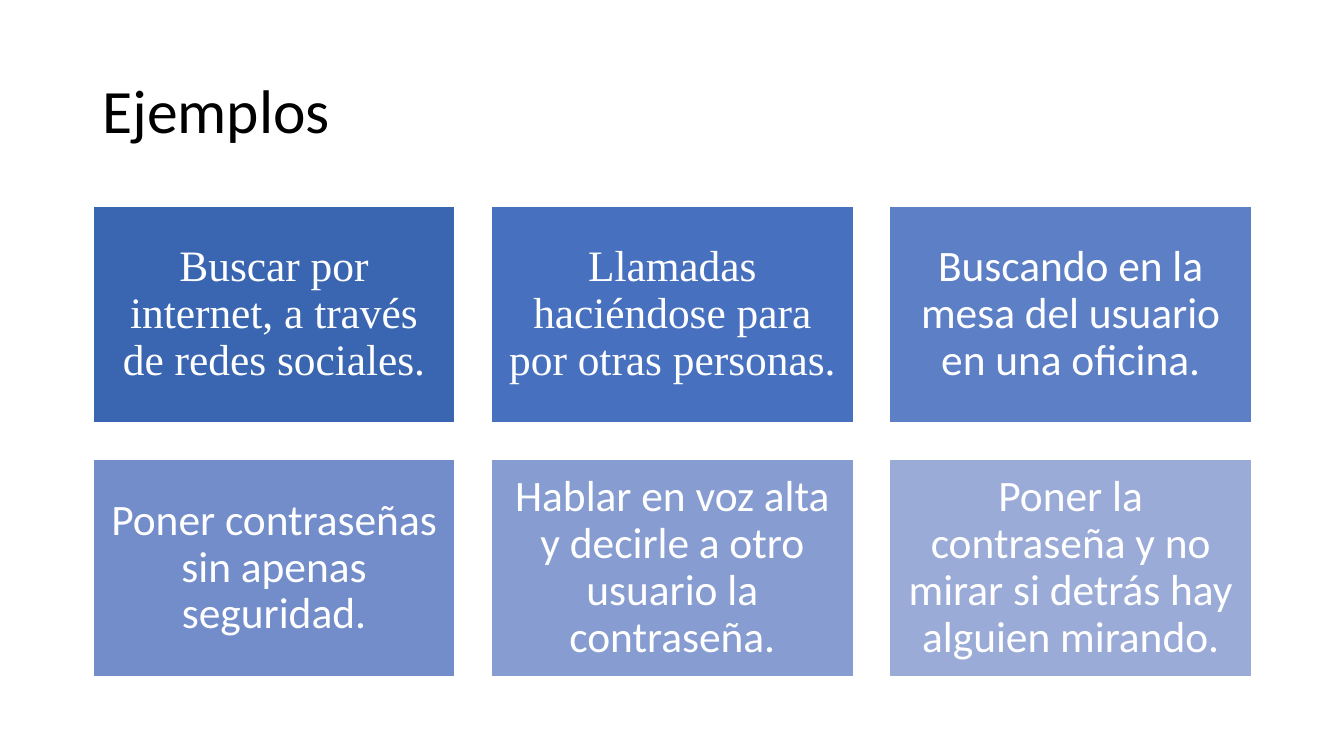
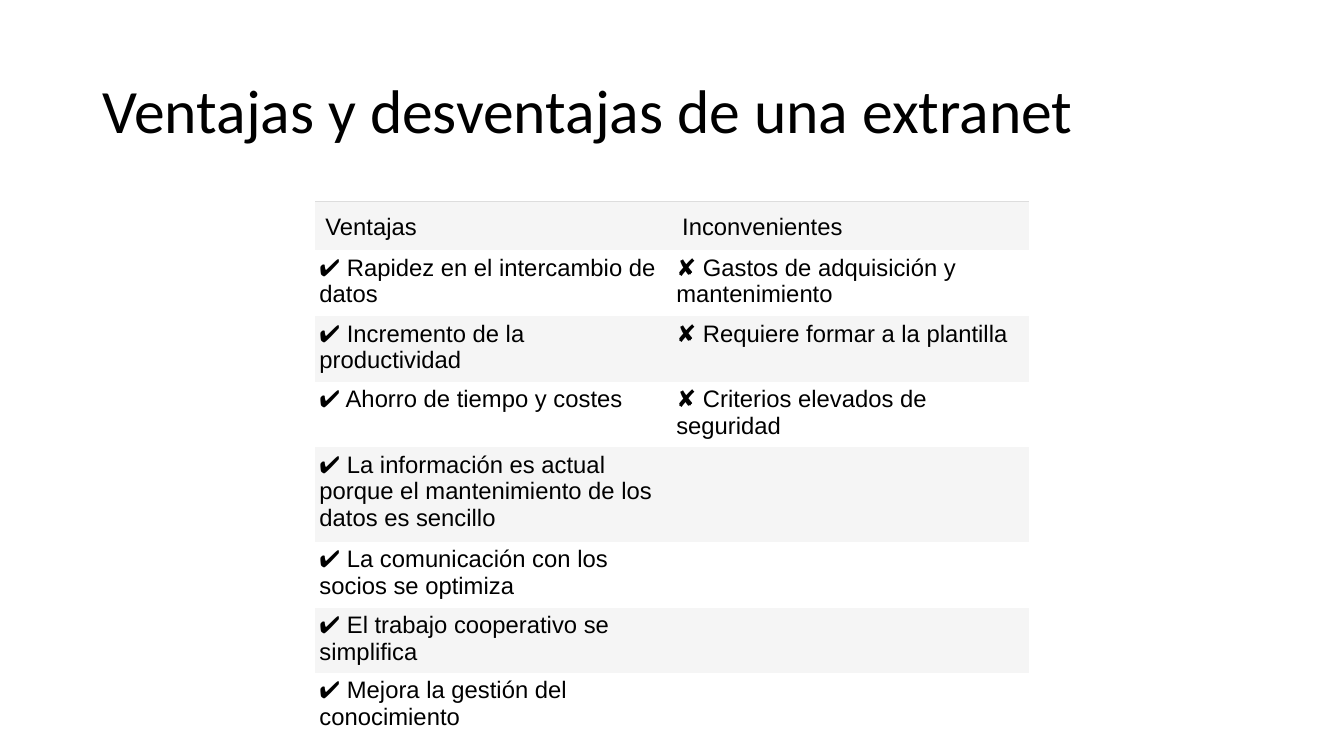
from lxml import etree
from pptx import Presentation
from pptx.dml.color import RGBColor
from pptx.enum.shapes import MSO_SHAPE
from pptx.enum.text import MSO_ANCHOR, PP_ALIGN
from pptx.oxml.ns import qn
from pptx.util import Pt

RECTANGLE = MSO_SHAPE.RECTANGLE
TOP, MIDDLE, BOTTOM = MSO_ANCHOR.TOP, MSO_ANCHOR.MIDDLE, MSO_ANCHOR.BOTTOM
LEFT, CENTER = PP_ALIGN.LEFT, PP_ALIGN.CENTER

BLACK = RGBColor(0x00, 0x00, 0x00)
WHITE = RGBColor(0xFF, 0xFF, 0xFF)
STRIPE = RGBColor(0xF5, 0xF5, 0xF5)
RULE = RGBColor(0xDD, 0xDD, 0xDD)
CARD_BLUES = [
    RGBColor(0x3A, 0x66, 0xB1), RGBColor(0x47, 0x70, 0xBF), RGBColor(0x5C, 0x7F, 0xC5),
    RGBColor(0x72, 0x8D, 0xCA), RGBColor(0x87, 0x9C, 0xD1), RGBColor(0x9B, 0xAB, 0xD7),
]

SANS, SERIF, TABLE_FONT = "Calibri", "Times New Roman", "Arial"
NO_GRID_STYLE = "{2D5ABB26-0587-4C30-8999-92F81FD0307C}"

CARDS = [
    ("Buscar por internet, a través de redes sociales.", SERIF),
    ("Llamadas haciéndose para por otras personas.", SERIF),
    ("Buscando en la mesa del usuario en una oficina.", SANS),
    ("Poner contraseñas sin apenas seguridad.", SANS),
    ("Hablar en voz alta y decirle a otro usuario la contraseña.", SANS),
    ("Poner la contraseña y no mirar si detrás hay alguien mirando.", SANS),
]

EXTRANET_ROWS = [
    (34.4, "Ventajas", "Inconvenientes"),
    (47, "✔ Rapidez en el intercambio de datos", "✘ Gastos de adquisición y mantenimiento"),
    (43.6, "✔ Incremento de la productividad", "✘ Requiere formar a la plantilla"),
    (43.6, "✔ Ahorro de tiempo y costes", "✘ Criterios elevados de seguridad"),
    (67.6, "✔ La información es actual porque el mantenimiento de los datos es sencillo", ""),
    (47, "✔ La comunicación con los socios se optimiza", ""),
    (46.8, "✔ El trabajo cooperativo se simplifica", ""),
    (46.8, "✔ Mejora la gestión del conocimiento", ""),
]


class SlideBuilder:
    def __init__(self):
        self.deck = Presentation()
        self.deck.slide_width = Pt(960)
        self.deck.slide_height = Pt(540)
        self.page = None

    def add_page(self, title):
        self.page = self.deck.slides.add_slide(self.deck.slide_layouts[6])
        box = self.page.shapes.add_textbox(Pt(66), Pt(28.8), Pt(828), Pt(104.4))
        frame = box.text_frame
        frame.word_wrap = True
        frame.vertical_anchor = MIDDLE
        self.set_text(frame, title, 44, SANS, BLACK, spacing=0.9)

    def set_text(self, frame, text, size, font, color, align=LEFT, spacing=1.0):
        frame.text = text
        para = frame.paragraphs[0]
        para.alignment = align
        para.line_spacing = spacing
        for span in para.runs:
            span.font.size = Pt(size)
            span.font.name = font
            span.font.color.rgb = color

    def set_margins(self, holder, margin):
        holder.margin_left = holder.margin_right = Pt(margin)
        holder.margin_top = holder.margin_bottom = Pt(margin)

    def card(self, left, top, width, height, text, font, fill):
        box = self.page.shapes.add_shape(RECTANGLE, Pt(left), Pt(top), Pt(width), Pt(height))
        box.shadow.inherit = False
        box.fill.solid()
        box.fill.fore_color.rgb = fill
        box.line.color.rgb = WHITE
        box.line.width = Pt(1)
        frame = box.text_frame
        frame.word_wrap = True
        frame.vertical_anchor = MIDDLE
        self.set_margins(frame, 9.3)
        self.set_text(frame, text, 31, font, WHITE, CENTER, 0.9)

    def card_grid(self, cards, left, top, columns, width, height, gap):
        for index, ((text, font), fill) in enumerate(zip(cards, CARD_BLUES)):
            row, column = divmod(index, columns)
            self.card(left + column * (width + gap), top + row * (height + gap),
                      width, height, text, font, fill)

    def top_rule(self, cell):
        line = etree.Element(qn("a:lnT"), w=str(Pt(0.75)))
        fill = etree.SubElement(line, qn("a:solidFill"))
        etree.SubElement(fill, qn("a:srgbClr"), val=str(RULE))
        cell._tc.get_or_add_tcPr().insert(0, line)

    def striped_table(self, rows, left, top, column_width):
        columns = len(rows[0]) - 1
        total_height = sum(row[0] for row in rows)
        frame = self.page.shapes.add_table(len(rows), columns, Pt(left), Pt(top),
                                           Pt(column_width * columns), Pt(total_height))
        table = frame.table
        table._tbl.tblPr.find(qn("a:tableStyleId")).text = NO_GRID_STYLE
        for column in table.columns:
            column.width = Pt(column_width)
        for row_index, (height, *texts) in enumerate(rows):
            table.rows[row_index].height = Pt(height)
            header = row_index == 0
            for column_index, text in enumerate(texts):
                cell = table.cell(row_index, column_index)
                cell.fill.solid()
                cell.fill.fore_color.rgb = WHITE if row_index % 2 else STRIPE
                cell.vertical_anchor = BOTTOM if header else TOP
                self.set_margins(cell, 7.2 if header else 3)
                self.set_text(cell.text_frame, text, 17, TABLE_FONT, BLACK)
                if header:
                    self.top_rule(cell)


def main():
    builder = SlideBuilder()
    builder.add_page("Ejemplos")
    builder.card_grid(CARDS, left=66.4, top=147, columns=3, width=258.6, height=155.2, gap=25.9)
    builder.add_page("Ventajas y desventajas de una extranet")
    builder.striped_table(EXTRANET_ROWS, left=225.2, top=144, column_width=254.9)
    builder.deck.save("out.pptx")


if __name__ == "__main__":
    main()
